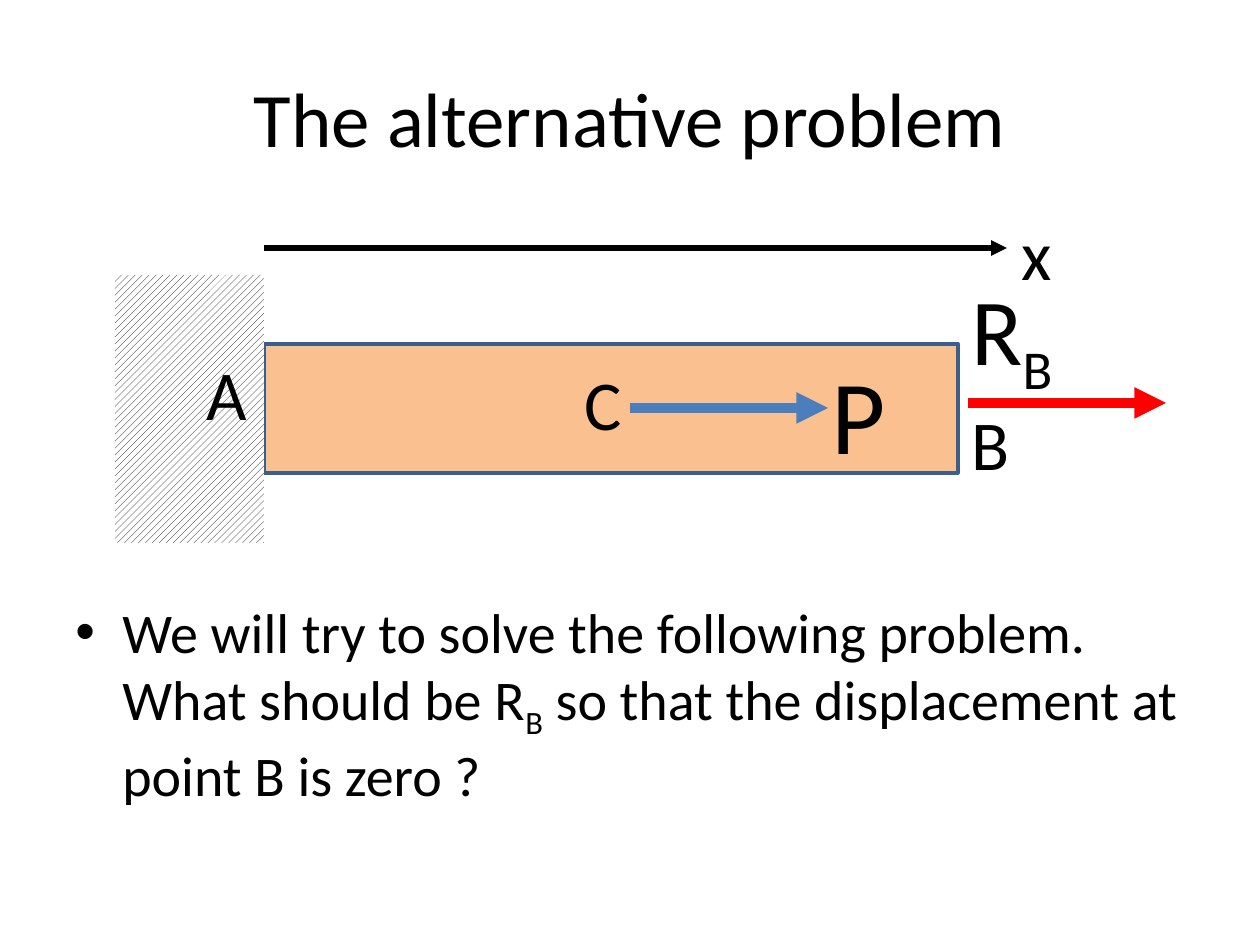
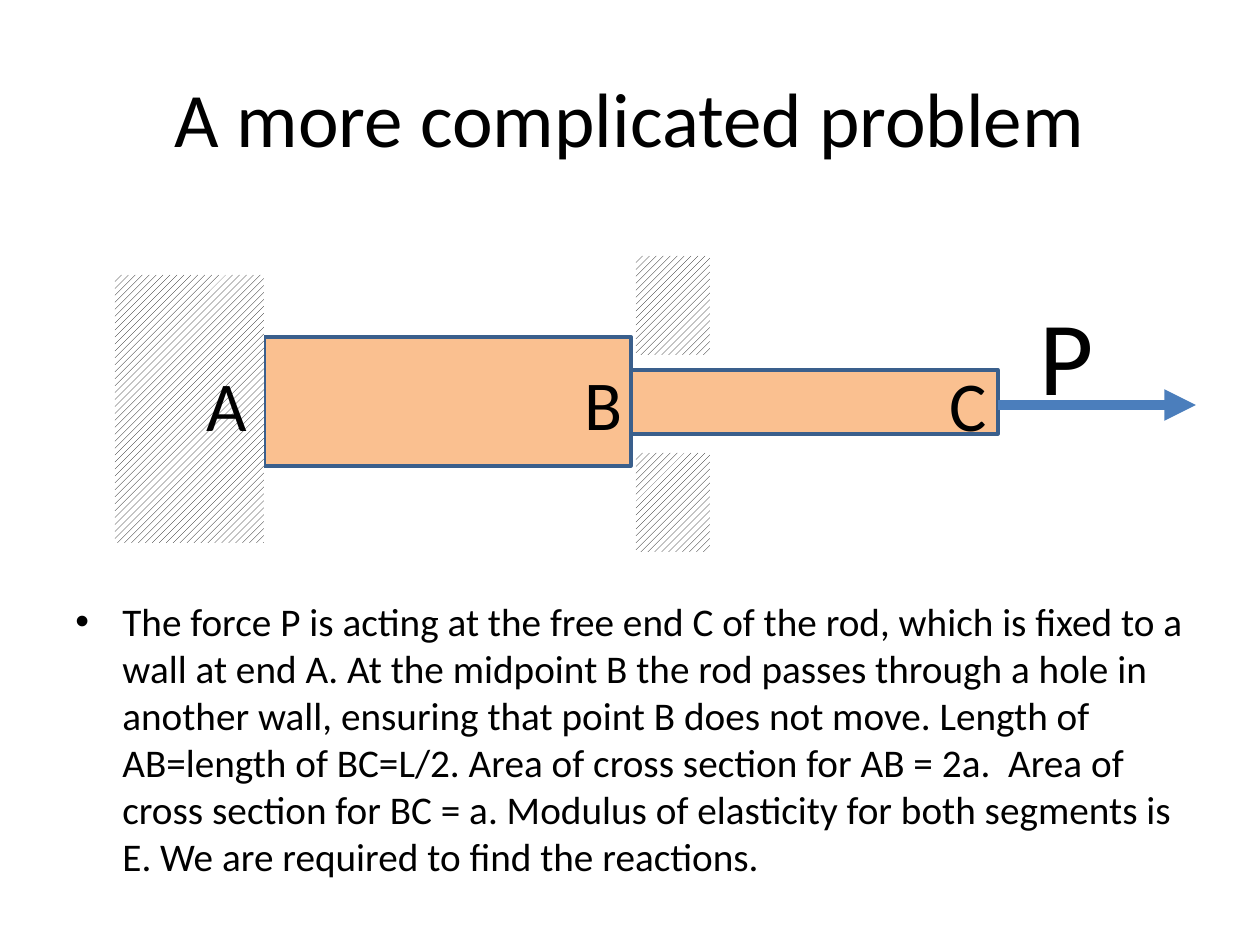
from lxml import etree
from pptx import Presentation
from pptx.dml.color import RGBColor
from pptx.enum.dml import MSO_PATTERN
from pptx.enum.shapes import MSO_CONNECTOR, MSO_SHAPE
from pptx.enum.text import MSO_ANCHOR, PP_ALIGN
from pptx.oxml.ns import qn
from pptx.util import Pt

RECTANGLE = MSO_SHAPE.RECTANGLE
STRAIGHT = MSO_CONNECTOR.STRAIGHT
HATCH = MSO_PATTERN.WIDE_UPWARD_DIAGONAL
CENTER = PP_ALIGN.CENTER
MIDDLE = MSO_ANCHOR.MIDDLE

PX = 914400 // 126
FONT = "Calibri"
BLACK, WHITE = "000000", "FFFFFF"
ROD_FILL, ROD_EDGE = "FAC090", "3A5F8C"
FORCE_BLUE, REACTION_RED = "4B7EBC", "FF0000"
BULLET_INDENT = 47 * PX


def color(hex_string):
    return RGBColor.from_string(hex_string)


def write(paragraph, pieces, size):
    """Write the pieces as runs; every second one is a subscript."""
    for number, piece in enumerate(pieces):
        run = paragraph.add_run()
        run.text = piece
        run.font.name = FONT
        run.font.size = Pt(size)
        run.font.color.rgb = color(BLACK)
        if number % 2:
            run._r.get_or_add_rPr().set("baseline", "-25000")


# Boxes are left, top, width, height; arrows are x1, x2, y, colour, points;
# labels are left, top, width, height, size, pieces
end_wall = (115, 275, 149, 268)
slides = [
    {
        "title": "The alternative problem",
        "body": ["We will try to solve the following problem. What should be R", "B",
                 " so that the displacement at point B is zero ?"],
        "body_size": 32,
        "body_width": 1134,
        "rods": [(264, 344, 694, 129)],
        "walls": [end_wall],
        "arrows": [(630, 828, 408, FORCE_BLUE, 6),
                   (968, 1166, 403, REACTION_RED, 6),
                   (264, 1007, 248, BLACK, 3)],
        "labels": [(819, 343, 100, 140, 60, ["P"]),
                   (572, 354, 68, 97, 40, ["C"]),
                   (959, 265, 137, 127, 54, ["R", "B"]),
                   (1009, 204, 68, 97, 40, ["x"]),
                   (959, 394, 68, 97, 40, ["B"]),
                   (194, 344, 68, 97, 40, ["A"])],
    },
    {
        "title": "A more complicated problem",
        "body": ["The force P is acting at the free end C of the rod, which is fixed to a "
                 "wall at end A. At the midpoint B the rod passes through a hole in another "
                 "wall, ensuring that point B does not move. Length of AB=length of BC=L/2. "
                 "Area of cross section for AB = 2a.  Area of cross section for BC = a. "
                 "Modulus of elasticity for both segments is E. We are required to find "
                 "the reactions."],
        "body_size": 22.4,
        "body_width": 1153,
        "rods": [(264, 337, 367, 129), (631, 370, 367, 64)],
        "walls": [end_wall, (636, 256, 74, 99), (636, 453, 74, 99)],
        "arrows": [(998, 1196, 405, FORCE_BLUE, 6)],
        "labels": [(1027, 284, 100, 140, 60, ["P"]),
                   (194, 355, 68, 97, 40, ["A"]),
                   (572, 354, 68, 97, 40, ["B"]),
                   (937, 355, 68, 97, 40, ["C"])],
    },
]

prs = Presentation()
prs.slide_width = 1260 * PX
prs.slide_height = 945 * PX
title_only = prs.slide_layouts[5]

for content in slides:
    slide = prs.slides.add_slide(title_only)
    shapes = slide.shapes

    # Title
    title = shapes.title
    title.left, title.top, title.width, title.height = [v * PX for v in (63, 38, 1134, 158)]
    title.text_frame.vertical_anchor = MIDDLE
    heading = title.text_frame.paragraphs[0]
    heading.alignment = CENTER
    write(heading, [content["title"]], 44)

    # Bulleted statement of the problem
    statement = shapes.add_textbox(63 * PX, 591 * PX, content["body_width"] * PX, 252 * PX)
    statement.text_frame.word_wrap = True
    paragraph = statement.text_frame.paragraphs[0]
    paragraph.space_before = Pt(content["body_size"] * 0.2)
    write(paragraph, content["body"], content["body_size"])
    properties = paragraph._p.get_or_add_pPr()
    properties.set("marL", str(BULLET_INDENT))
    properties.set("indent", str(-BULLET_INDENT))
    etree.SubElement(properties, qn("a:buFont")).set("typeface", "Arial")
    etree.SubElement(properties, qn("a:buChar")).set("char", "•")

    # Rod segments
    for box in content["rods"]:
        rod = shapes.add_shape(RECTANGLE, *[v * PX for v in box])
        rod.shadow.inherit = False
        rod.fill.solid()
        rod.fill.fore_color.rgb = color(ROD_FILL)
        rod.line.color.rgb = color(ROD_EDGE)
        rod.line.width = Pt(2)

    # Hatched walls
    for box in content["walls"]:
        wall = shapes.add_shape(RECTANGLE, *[v * PX for v in box])
        wall.shadow.inherit = False
        wall.fill.patterned()
        wall.fill.pattern = HATCH
        wall.fill.fore_color.rgb = color(BLACK)
        wall.fill.back_color.rgb = color(WHITE)
        wall.line.fill.background()

    # Forces and the axis
    for start, end, y, hue, points in content["arrows"]:
        arrow = shapes.add_connector(STRAIGHT, start * PX, y * PX, end * PX, y * PX)
        arrow.line.color.rgb = color(hue)
        arrow.line.width = Pt(points)
        etree.SubElement(arrow.line._get_or_add_ln(), qn("a:tailEnd")).set("type", "triangle")
        etree.SubElement(arrow._element.spPr, qn("a:effectLst"))

    # Point and force labels
    for left, top, width, height, size, pieces in content["labels"]:
        label = shapes.add_textbox(left * PX, top * PX, width * PX, height * PX)
        label.text_frame.word_wrap = True
        write(label.text_frame.paragraphs[0], pieces, size)

prs.save("out.pptx")
